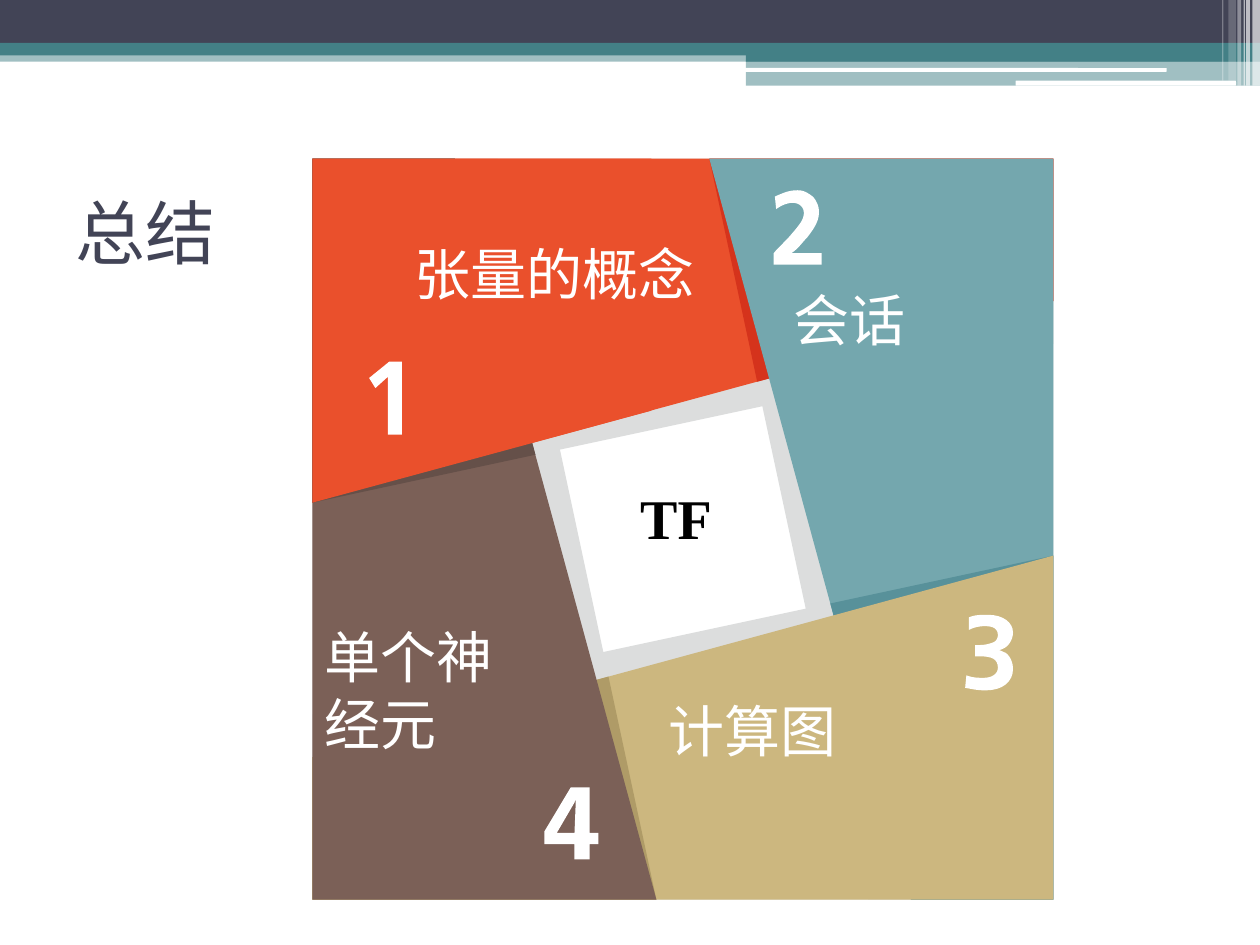
from lxml import etree
from pptx import Presentation
from pptx.dml.color import RGBColor
from pptx.enum.shapes import MSO_SHAPE as Preset
from pptx.enum.text import MSO_ANCHOR as Anchor, PP_ALIGN as Align
from pptx.oxml.ns import qn
from pptx.util import Inches, Pt

CENTER_X, CENTER_Y, HALF = 5.42, 4.2, 2.94
LEFT, TOP, RIGHT = CENTER_X - HALF, CENTER_Y - HALF, CENTER_X + HALF
WHITE, TEAL, NAVY, GRAY = "FFFFFF", "438086", "424456", "DCDDDD"

# The top blade of the pinwheel; quarter turns give the other three.
BAND = [(RIGHT, TOP), (RIGHT, 2.73), (LEFT, 3.99), (LEFT, TOP)]
BLADE = [(RIGHT, TOP), (RIGHT, 2.39), (LEFT, 3.99), (LEFT, TOP)]
FOLD = [(RIGHT, TOP), (RIGHT, 2.39), (6.01, 3.03), (5.63, TOP)]
TOP_OVERLAP = [(5.17, 3.26), (LEFT, 3.99), (LEFT, TOP), (5.17, TOP)]
BLADE_COLORS = [("EA502C", "D5331C"), ("74A7AE", "58919A"),
                ("CCB77F", "AF9B67"), ("7B6057", "655049")]

# Contours of each numeral: pairs are line ends, sextuples are cubic curves.
NUMERALS = [
    [[(3.08, 3.45), (3.19, 3.45), (3.19, 2.87), (3.09, 2.87), (2.93, 3),
      (2.98, 3.08), (3.08, 2.99)]],
    [[(6.14, 2.1), (6.52, 2.1), (6.52, 2.01), (6.28, 2.01),
      (6.34, 1.97, 6.37, 1.92, 6.41, 1.88), (6.48, 1.79, 6.5, 1.74, 6.5, 1.68),
      (6.5, 1.64, 6.48, 1.59, 6.45, 1.56), (6.41, 1.53, 6.38, 1.51, 6.33, 1.51),
      (6.26, 1.51, 6.22, 1.53, 6.15, 1.56), (6.16, 1.66),
      (6.2, 1.63, 6.25, 1.61, 6.29, 1.61), (6.35, 1.61, 6.38, 1.65, 6.38, 1.69),
      (6.38, 1.74, 6.35, 1.78, 6.28, 1.86), (6.25, 1.9, 6.18, 1.96, 6.14, 2.01)]],
    [[(7.66, 5.46), (7.72, 5.47, 7.76, 5.48, 7.82, 5.48),
      (7.96, 5.48, 8.04, 5.41, 8.04, 5.31), (8.04, 5.26, 8.02, 5.21, 7.98, 5.18),
      (7.97, 5.18, 7.96, 5.17, 7.93, 5.16), (7.99, 5.15, 8.04, 5.09, 8.04, 5.02),
      (8.04, 4.94, 7.96, 4.88, 7.84, 4.88), (7.78, 4.88, 7.74, 4.88, 7.69, 4.9),
      (7.69, 5), (7.73, 4.98, 7.77, 4.97, 7.82, 4.97),
      (7.88, 4.97, 7.92, 4.99, 7.92, 5.04), (7.92, 5.06, 7.91, 5.09, 7.88, 5.1),
      (7.85, 5.11, 7.82, 5.12, 7.77, 5.12), (7.74, 5.12), (7.74, 5.21), (7.78, 5.21),
      (7.87, 5.21, 7.92, 5.23, 7.92, 5.3), (7.92, 5.35, 7.87, 5.38, 7.81, 5.38),
      (7.76, 5.38, 7.72, 5.38, 7.67, 5.36)]],
    [[(4.32, 6.7), (4.56, 6.7), (4.56, 6.82), (4.68, 6.82), (4.68, 6.7), (4.75, 6.7),
      (4.75, 6.61), (4.68, 6.61), (4.68, 6.25), (4.53, 6.25), (4.32, 6.6)],
     [(4.42, 6.61), (4.56, 6.37), (4.57, 6.34), (4.57, 6.37), (4.56, 6.61)]],
]

# left, top, width, height, colour, opacity in percent
HEADER_BARS = [
    (0, 0.4, 10, 0.09, TEAL, 50),
    (0, 0, 10, 0.34, NAVY, 100),
    (0, 0.34, 10, 0.1, TEAL, 100),
    (5.92, 0.39, 4.08, 0.1, TEAL, 100),
    (5.92, 0.48, 4.08, 0.2, TEAL, 50),
]
HEADER_LINES = [(5.91, 0.54, 3.35, 0.03), (8.06, 0.64, 1.75, 0.04)]
HEADER_STRIPES = [
    (9.94, 0, 0.06, 0.68, WHITE, 65),
    (9.89, 0, 0.03, 0.68, WHITE, 65),
    (9.87, 0, 0.01, 0.68, WHITE, 60),
    (9.82, 0, 0.03, 0.68, WHITE, 40),
    (9.75, 0, 0.06, 0.64, WHITE, 20),
    (9.7, 0, 0.01, 0.64, WHITE, 30),
]


def color(value):
    return RGBColor.from_string(value)


def paint(shape, fill, opacity=100):
    shape.shadow.inherit = False
    shape.line.fill.background()
    shape.fill.solid()
    shape.fill.fore_color.rgb = color(fill)
    if opacity < 100:
        rgb = shape.fill._xPr.find(".//" + qn("a:srgbClr"))
        etree.SubElement(rgb, qn("a:alpha")).set("val", str(opacity * 1000))


def add_bar(slide, left, top, width, height, fill, opacity=100, preset=Preset.RECTANGLE):
    shape = slide.shapes.add_shape(
        preset, Inches(left), Inches(top), Inches(width), Inches(height))
    paint(shape, fill, opacity)


def flatten(contour, steps=8):
    """Turn a contour with cubic curves into plain points."""
    points = []
    for segment in contour:
        if len(segment) == 2:
            points.append(segment)
            continue
        x0, y0 = points[-1]
        x1, y1, x2, y2, x3, y3 = segment
        for step in range(1, steps + 1):
            t = step / steps
            a, b, c, d = (1 - t) ** 3, 3 * t * (1 - t) ** 2, 3 * t * t * (1 - t), t ** 3
            points.append((a * x0 + b * x1 + c * x2 + d * x3,
                           a * y0 + b * y1 + c * y2 + d * y3))
    return points


def add_outline(slide, contours, fill):
    builder = None
    for contour in contours:
        start, *rest = [(Inches(x), Inches(y)) for x, y in flatten(contour)]
        if builder is None:
            builder = slide.shapes.build_freeform(*start)
        else:
            builder.move_to(*start)
        builder.add_line_segments(rest, close=True)
    paint(builder.convert_to_shape(), fill)


def turn(points, quarters):
    """Rotate points clockwise about the pinwheel centre by quarter turns."""
    for _ in range(quarters):
        points = [(CENTER_X - (y - CENTER_Y), CENTER_Y + (x - CENTER_X)) for x, y in points]
    return points


def add_text(slide, box, lines, font, fill=WHITE, size=32, bold=False,
             align=Align.LEFT, anchor=Anchor.TOP):
    frame = slide.shapes.add_textbox(*[Inches(length) for length in box]).text_frame
    frame.word_wrap = True
    frame.vertical_anchor = anchor
    for index, line in enumerate(lines):
        paragraph = frame.add_paragraph() if index else frame.paragraphs[0]
        paragraph.alignment = align
        run = paragraph.add_run()
        run.text = line
        run.font.name = font
        run.font.size = Pt(size)
        run.font.bold = bold
        run.font.color.rgb = color(fill)


def add_header(slide):
    for bar in HEADER_BARS:
        add_bar(slide, *bar)
    for line in HEADER_LINES:
        add_bar(slide, *line, WHITE, preset=Preset.ROUNDED_RECTANGLE)
    for stripe in HEADER_STRIPES:
        add_bar(slide, *stripe)


def add_pinwheel(slide):
    for quarters in range(4):
        add_outline(slide, [turn(BAND, quarters)], GRAY)
    for quarters, (blade, fold) in enumerate(BLADE_COLORS):
        add_outline(slide, [turn(BLADE, quarters)], blade)
        add_outline(slide, [turn(FOLD, quarters)], fold)
    add_outline(slide, [TOP_OVERLAP], BLADE_COLORS[0][0])
    for numeral in NUMERALS:
        add_outline(slide, numeral, WHITE)


def main():
    presentation = Presentation()
    presentation.slide_width, presentation.slide_height = Inches(10), Inches(7.5)
    slide = presentation.slides.add_slide(presentation.slide_layouts[6])

    add_header(slide)
    add_text(slide, (0.5, 1.25, 9, 1.17), ["总结"], "Roboto", NAVY, 40, anchor=Anchor.MIDDLE)
    add_text(slide, (4.67, 3.79, 1.39, 0.64), ["TF"], "Times New Roman", "000000",
             bold=True, align=Align.CENTER)
    add_pinwheel(slide)
    chinese = "Noto Sans CJK SC"
    add_text(slide, (3.06, 1.85, 2.69, 0.64), ["张量的概念"], chinese, align=Align.CENTER)
    add_text(slide, (6.2, 2.22, 3.67, 0.64), ["会话"], chinese)
    add_text(slide, (5.21, 5.48, 2.94, 0.64), ["计算图"], chinese)
    add_text(slide, (2.48, 4.89, 2.51, 1.18), ["单个神", "经元"], "Arial")

    presentation.save("out.pptx")


if __name__ == "__main__":
    main()
